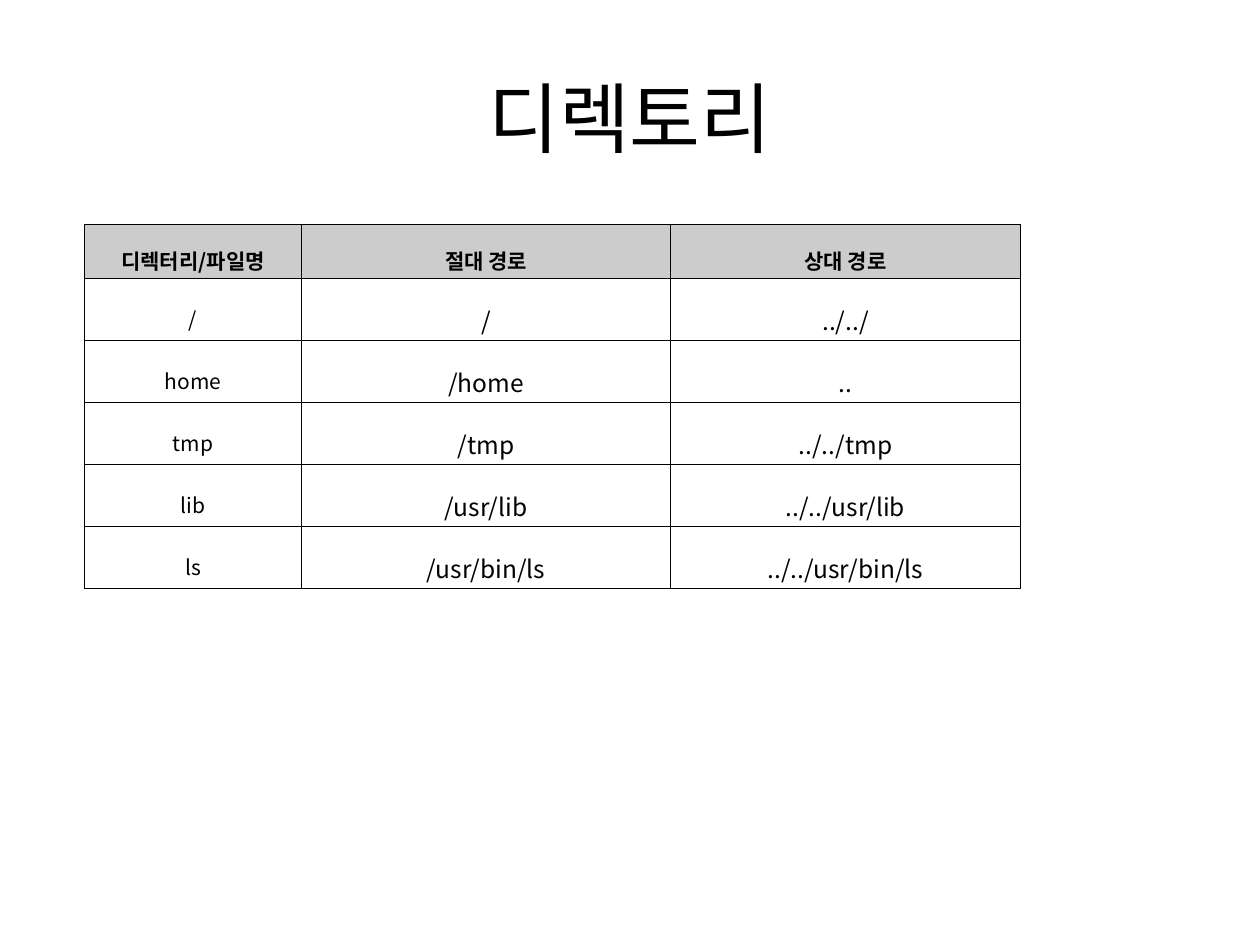
from lxml.etree import SubElement
from pptx import Presentation
from pptx.dml.color import RGBColor
from pptx.enum.text import MSO_ANCHOR as Anchor, PP_ALIGN as Align
from pptx.oxml.ns import qn
from pptx.util import Pt

BLACK = RGBColor(0, 0, 0)
HEADER_GRAY = RGBColor(0xCC, 0xCC, 0xCC)

HEADINGS = ("디렉터리/파일명", "절대 경로", "상대 경로")
PATHS = (
    ("/", "/", "../../"),
    ("home", "/home", ".."),
    ("tmp", "/tmp", "../../tmp"),
    ("lib", "/usr/lib", "../../usr/lib"),
    ("ls", "/usr/bin/ls", "../../usr/bin/ls"),
)
COLUMN_WIDTHS = (124.2, 210.8, 200)
ROW_HEIGHT = 18.7


class SlideWriter:
    font_name = "Noto Sans CJK KR"
    line_width = 0.28
    line_spacing = 1.6
    cell_format = {
        "vertical_anchor": Anchor.MIDDLE,
        "margin_left": Pt(5),
        "margin_right": Pt(5),
        "margin_top": Pt(1.4),
        "margin_bottom": Pt(1.4),
    }

    def __init__(self, slide):
        self.slide = slide

    def text(self, frame, words, size, bold=False):
        paragraph = frame.paragraphs[0]
        paragraph.alignment = Align.CENTER
        run = paragraph.add_run()
        run.text = words
        font_format = {"name": self.font_name, "size": Pt(size), "bold": bold}
        for name, value in font_format.items():
            setattr(run.font, name, value)
        run.font.color.rgb = BLACK
        east_asian = SubElement(run.font._element, qn("a:ea"))
        east_asian.set("typeface", self.font_name)
        return paragraph

    def title(self, words, left, top, width, height):
        title = self.slide.shapes.title
        place = {"left": left, "top": top, "width": width, "height": height}
        for name, value in place.items():
            setattr(title, name, Pt(value))
        title.text_frame.vertical_anchor = Anchor.MIDDLE
        self.text(title.text_frame, words, 44)

    def borders(self, cell):
        properties = cell._tc.get_or_add_tcPr()
        for side in ("lnL", "lnR", "lnT", "lnB"):
            line = SubElement(properties, qn(f"a:{side}"), w=str(Pt(self.line_width)))
            fill = SubElement(line, qn("a:solidFill"))
            SubElement(fill, qn("a:srgbClr"), val=str(BLACK))

    def cell(self, cell, words, size, header):
        for name, value in self.cell_format.items():
            setattr(cell, name, value)
        self.borders(cell)
        if header:
            cell.fill.solid()
            cell.fill.fore_color.rgb = HEADER_GRAY
        else:
            cell.fill.background()
        paragraph = self.text(cell.text_frame, words, size, header)
        paragraph.line_spacing = self.line_spacing

    def table(self, rows, left, top, widths, row_height):
        table = self.slide.shapes.add_table(
            len(rows), len(widths), Pt(left), Pt(top),
            Pt(sum(widths)), Pt(row_height * len(rows)),
        ).table
        table.first_row = table.horz_banding = False
        for column, width in zip(table.columns, widths):
            column.width = Pt(width)
        for r, row in enumerate(rows):
            for c, words in enumerate(row):
                size = 12 if r == 0 or c == 0 else 14
                self.cell(table.cell(r, c), words, size, header=r == 0)


def main():
    deck = Presentation()
    deck.slide_width, deck.slide_height = Pt(720), Pt(540)
    title_only = deck.slide_layouts[5]
    writer = SlideWriter(deck.slides.add_slide(title_only))
    writer.title("디렉토리", 36, 21.6, 648, 90)
    writer.table((HEADINGS, *PATHS), 48.2, 128.2, COLUMN_WIDTHS, ROW_HEIGHT)
    deck.save("out.pptx")


if __name__ == "__main__":
    main()
